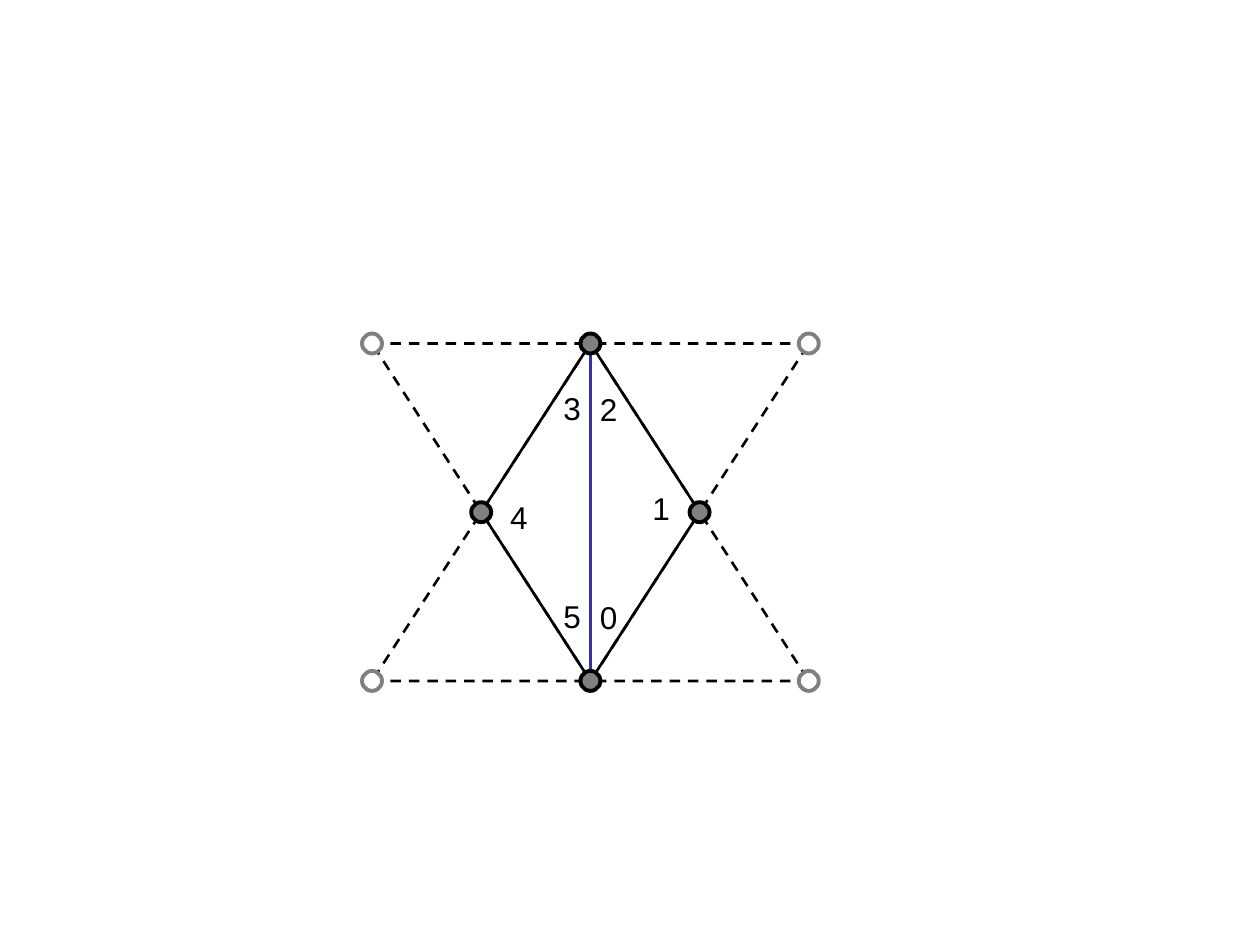
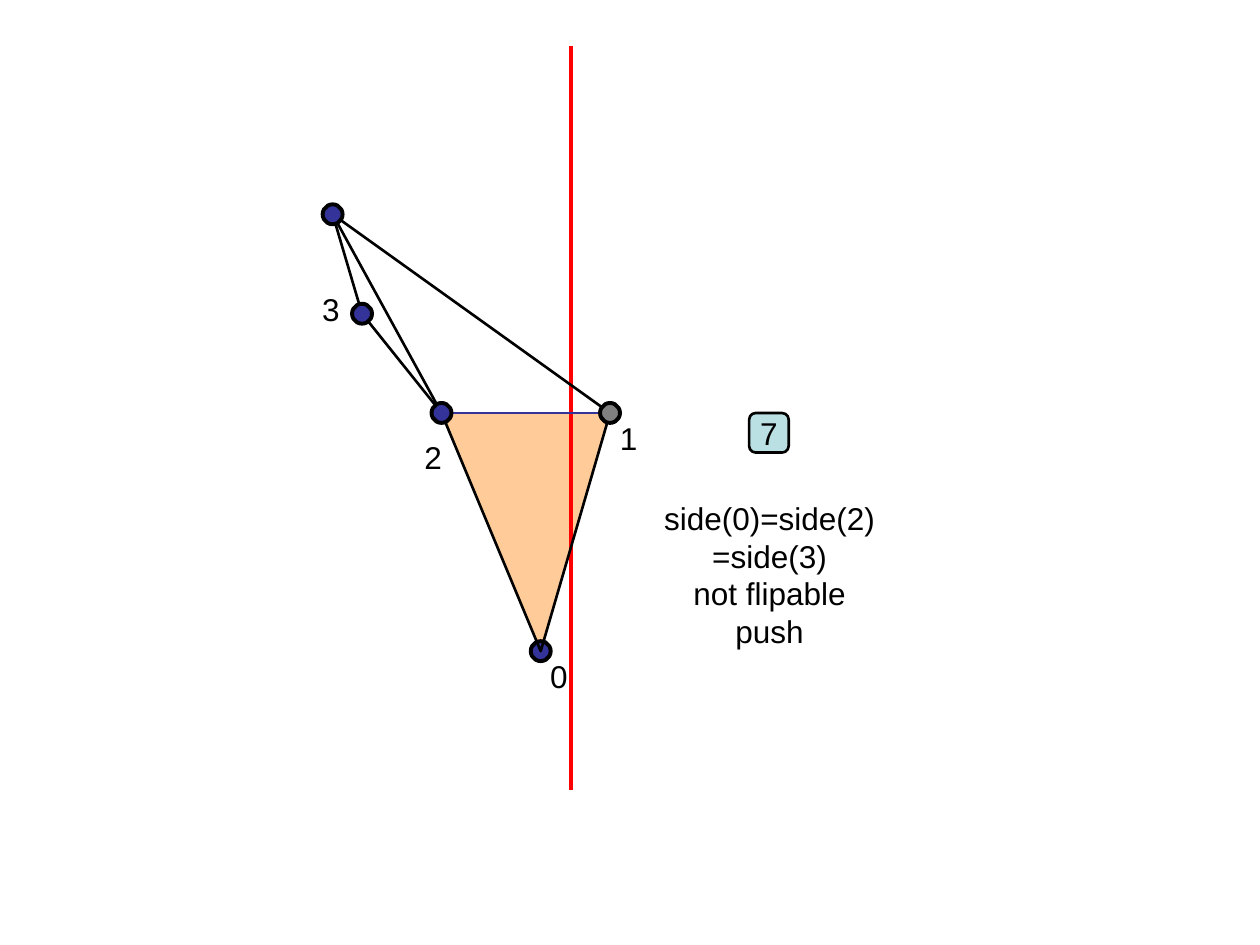
from dataclasses import dataclass
from itertools import pairwise, product

from lxml.etree import SubElement
from pptx import Presentation
from pptx.dml.color import RGBColor as RGB
from pptx.enum.dml import MSO_LINE
from pptx.enum.shapes import MSO_CONNECTOR as Connector, MSO_SHAPE as Shape
from pptx.enum.text import MSO_ANCHOR as Anchor, MSO_AUTO_SIZE as AutoSize, PP_ALIGN as Align
from pptx.oxml.ns import qn
from pptx.util import Pt


@dataclass(frozen=True)
class Theme:
    black: RGB = RGB(0, 0, 0)
    white: RGB = RGB(0xFF, 0xFF, 0xFF)
    gray: RGB = RGB(0x80, 0x80, 0x80)
    blue: RGB = RGB(0x33, 0x33, 0x99)
    red: RGB = RGB(0xFF, 0, 0)
    orange: RGB = RGB(0xFF, 0xCC, 0x99)
    teal: RGB = RGB(0xBB, 0xE0, 0xE3)
    font: str = "Arial"
    text_size: float = 18
    edge: float = 1.5
    heavy: float = 2.25
    node: float = 11.4


THEME = Theme()


def style_shape(shape, fill=None, line=None, width=THEME.edge):
    shape.shadow.inherit = False
    if fill is None:
        shape.fill.background()
    else:
        shape.fill.solid()
        shape.fill.fore_color.rgb = fill
    if line is None:
        shape.line.fill.background()
    else:
        shape.line.color.rgb = line
        shape.line.width = Pt(width)


def add_node(shapes, center, fill, line=THEME.black):
    """Draw a graph vertex as a small circle around its center."""
    left, top = (value - THEME.node / 2 for value in center)
    node = shapes.add_shape(Shape.OVAL, Pt(left), Pt(top), Pt(THEME.node), Pt(THEME.node))
    style_shape(node, fill, line, THEME.heavy)


def add_outline(shapes, points, closed=True, **style):
    start, *others = [(Pt(x), Pt(y)) for x, y in points]
    builder = shapes.build_freeform(*start)
    builder.add_line_segments(others, close=closed)
    outline = builder.convert_to_shape()
    style_shape(outline, **style)
    return outline


def add_line(shapes, start, end, color=THEME.black, width=THEME.edge):
    line = shapes.add_connector(Connector.STRAIGHT, *(Pt(value) for value in start + end))
    line.line.color.rgb = color
    line.line.width = Pt(width)
    SubElement(line._element.spPr, qn("a:effectLst"))


def write_paragraph(paragraph, lines):
    paragraph.alignment = Align.CENTER
    for index, text in enumerate(lines):
        if index:
            paragraph.add_line_break()
        run = paragraph.add_run()
        run.text = text
        run.font.name = THEME.font
        run.font.size = Pt(THEME.text_size)
        run.font.color.rgb = THEME.black


def add_text(shapes, left, top, paragraphs, width=24.5, height=29):
    """Add a centered text box; each paragraph is a sequence of lines."""
    box = shapes.add_textbox(Pt(left), Pt(top), Pt(width), Pt(height))
    frame = box.text_frame
    frame.word_wrap = False
    frame.auto_size = AutoSize.SHAPE_TO_FIT_TEXT
    for index, lines in enumerate(paragraphs):
        paragraph = frame.add_paragraph() if index else frame.paragraphs[0]
        write_paragraph(paragraph, lines)


def add_labels(shapes, positions):
    for text, (left, top) in positions.items():
        add_text(shapes, left, top, [[text]])


def add_badge(shapes, left, top, size, text):
    badge = shapes.add_shape(Shape.ROUNDED_RECTANGLE, Pt(left), Pt(top), Pt(size), Pt(size))
    style_shape(badge, THEME.teal, THEME.black)
    frame = badge.text_frame
    frame.word_wrap = False
    frame.vertical_anchor = Anchor.MIDDLE
    write_paragraph(frame.paragraphs[0], [text])


def add_neighbours(shapes, center, half_width, half_height):
    """Draw the four dashed triangles that share an edge with the diamond."""
    group = shapes.add_group_shape().shapes
    x, y = center
    for vertical, horizontal in product((1, -1), (-1, 1)):
        pole_y = y + vertical * half_height
        corner = (x + 2 * horizontal * half_width, pole_y)
        triangle = [corner, (x, pole_y), (x + horizontal * half_width, y)]
        outline = add_outline(group, triangle, line=THEME.black)
        outline.line.dash_style = MSO_LINE.DASH
        add_node(group, corner, THEME.white, THEME.gray)


def build_edge_slide(shapes):
    center = x, y = 337.4, 292.7
    half_width, half_height = 62.4, 96.4
    bottom, top = (x, y + half_height), (x, y - half_height)
    diamond = [bottom, (x + half_width, y), top, (x - half_width, y)]

    add_neighbours(shapes, center, half_width, half_height)
    add_outline(shapes, diamond, line=THEME.black)
    add_line(shapes, bottom, top, THEME.blue)
    for vertex in diamond:
        add_node(shapes, vertex, THEME.gray)
    add_labels(shapes, {
        "0": (335.5, 338.1), "1": (365.6, 275.8), "2": (335.5, 219.2),
        "3": (314.7, 218.6), "4": (284.2, 281), "5": (314.7, 337.6),
    })


def build_push_slide(shapes):
    apex, vertex3 = (190.1, 122.5), (206.9, 179.3)
    vertex2, vertex1, vertex0 = (252.3, 236), (348.6, 236), (309, 372.1)

    add_outline(shapes, [vertex2, vertex0, vertex1], fill=THEME.orange)
    add_line(shapes, (326.2, 26.2), (326.2, 451.4), THEME.red, THEME.heavy)
    add_line(shapes, vertex2, vertex1, THEME.blue)
    add_node(shapes, vertex0, THEME.blue)
    add_labels(shapes, {
        "0": (307.2, 372.1), "1": (347, 236), "2": (235.3, 246.8), "3": (176.8, 162.2),
    })
    note = [["side(0)=side(2)", "=side(3)", "not flipable"], ["push"]]
    add_text(shapes, 367.8, 281.5, note, 144, 93.6)
    add_badge(shapes, 428.1, 236, 22.6, "7")

    for start, end in pairwise([vertex1, apex, vertex3]):
        add_line(shapes, start, end)
    add_line(shapes, apex, vertex2)
    add_outline(shapes, [vertex3, vertex2, vertex0, vertex1], closed=False, line=THEME.black)
    for vertex in (vertex3, vertex2, apex):
        add_node(shapes, vertex, THEME.blue)
    add_node(shapes, vertex1, THEME.gray)


def main():
    presentation = Presentation()
    presentation.slide_width, presentation.slide_height = Pt(720), Pt(540)
    blank_layout = presentation.slide_layouts[6]
    for build_slide in (build_edge_slide, build_push_slide):
        build_slide(presentation.slides.add_slide(blank_layout).shapes)
    presentation.save("out.pptx")


if __name__ == "__main__":
    main()
